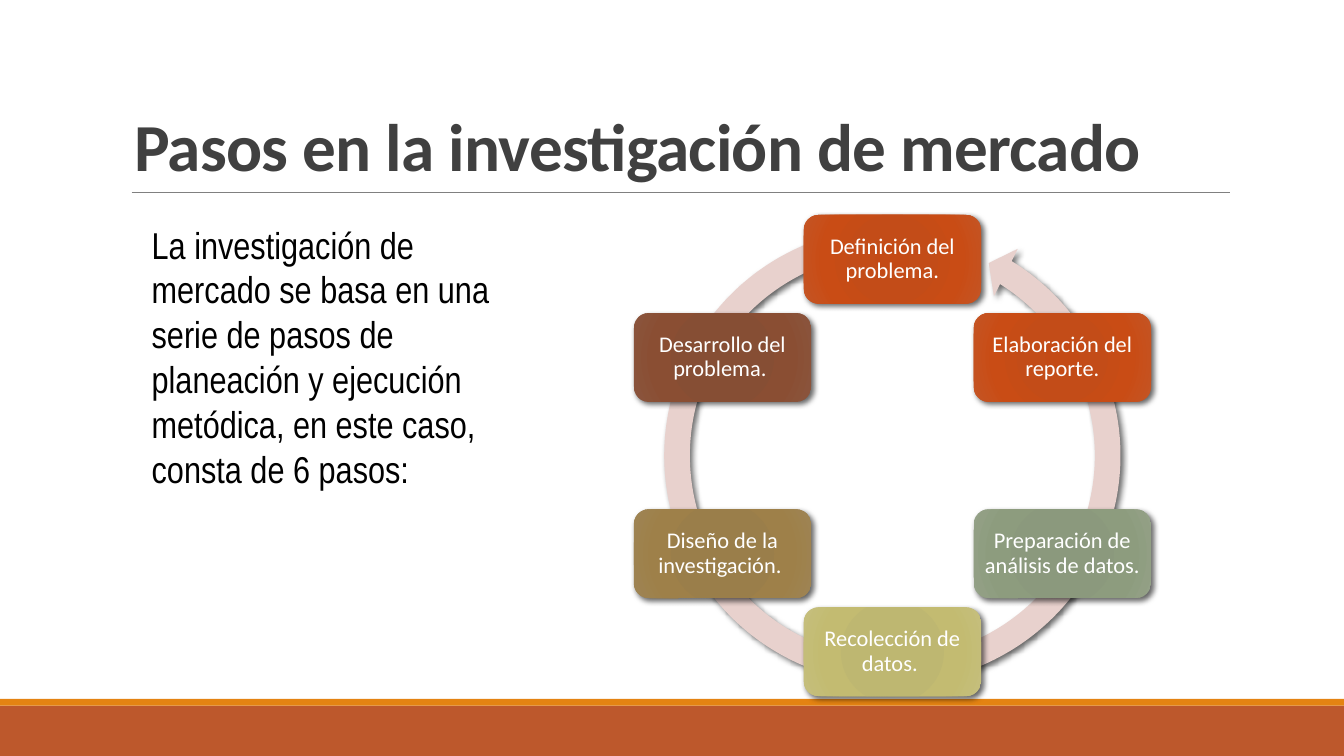
import math
from typing import NamedTuple

import pptx
import pptx.dml.color
import pptx.enum.shapes
import pptx.enum.text
import pptx.oxml
import pptx.oxml.ns
import pptx.util

WIDTH = 10
HEIGHT = WIDTH * 9 / 16
COLORS = {
    "band": "BD582C",
    "stripe": "E48312",
    "rule": "808080",
    "title": "404040",
    "body": "000000",
    "ring": "E8D1CD",
    "step_text": "FFFFFF",
    "shadow": "000000",
}
ORANGE = ("C44A15", "C34C18", "C94C15", "C45525")
BROWN = ("874C32", "864E34", "8A4E33", "8A553D")
OCHRE = ("9A7D48", "9A7E4A", "9E8049", "9E8454")
LIME = ("BEB76E", "BEB771", "C3BB71", "C5BF7D")
SAGE = ("8A987B", "8B997D", "8D9C7E", "94A187")
GRADIENT_POSITIONS = (0, 34, 70, 100)

CENTER_X, CENTER_Y, RADIUS = 6.64, 3.39, 1.46
STEP_WIDTH, STEP_HEIGHT = 1.32, 0.66
RING_SIZE = 3.6

SHAPES = pptx.enum.shapes.MSO_SHAPE
ANCHORS = pptx.enum.text.MSO_ANCHOR
Inches = pptx.util.Inches


class Box(NamedTuple):
    left: float
    top: float
    width: float
    height: float


class Step(NamedTuple):
    text: str
    gradient: tuple[str, ...]


class TextStyle(NamedTuple):
    font: str
    size: int
    color: str
    bold: bool = False


# Counter-clockwise from the top of the ring
STEPS = (
    Step("Definición del problema.", ORANGE),
    Step("Desarrollo del problema. ", BROWN),
    Step("Diseño de la investigación. ", OCHRE),
    Step("Recolección de datos. ", LIME),
    Step("Preparación de análisis de datos. ", SAGE),
    Step("Elaboración del reporte.", ORANGE),
)


def rgb(name: str) -> pptx.dml.color.RGBColor:
    return pptx.dml.color.RGBColor.from_string(COLORS[name])


def parse_drawing(xml: str):
    """Parse an element whose first tag is in the drawing namespace."""
    tag_end = xml.index(">")
    return pptx.oxml.parse_xml(
        f"{xml[:tag_end]} {pptx.oxml.ns.nsdecls('a')}{xml[tag_end:]}"
    )


def add_plain_shape(slide, kind, box: Box, color: str | None = None):
    shape = slide.shapes.add_shape(kind, *map(Inches, box))
    if color:
        shape.fill.solid()
        shape.fill.fore_color.rgb = rgb(color)
    shape.line.fill.background()
    shape.shadow.inherit = False
    return shape


def add_shadow(shape) -> None:
    effects = shape._element.spPr.find(pptx.oxml.ns.qn("a:effectLst"))
    effects.append(parse_drawing(
        '<a:outerShdw blurRad="38100" dist="25400" dir="2700000" rotWithShape="0">'
        f'<a:srgbClr val="{COLORS["shadow"]}"><a:alpha val="60000"/></a:srgbClr>'
        "</a:outerShdw>"
    ))


def fill_radial(shape, gradient: tuple[str, ...]) -> None:
    stops = "".join(
        f'<a:gs pos="{position * 1000}"><a:srgbClr val="{color}"/></a:gs>'
        for position, color in zip(GRADIENT_POSITIONS, gradient)
    )
    shape.fill.background()
    properties = shape._element.spPr
    properties.replace(
        properties.find(pptx.oxml.ns.qn("a:noFill")),
        parse_drawing(
            f'<a:gradFill rotWithShape="1"><a:gsLst>{stops}</a:gsLst><a:path path="circle">'
            '<a:fillToRect l="100000" t="100000" r="100000" b="100000"/>'
            "</a:path></a:gradFill>"
        ),
    )


def write_text(shape, text: str, style: TextStyle):
    frame = shape.text_frame
    frame.word_wrap = True
    frame.text = text
    paragraph = frame.paragraphs[0]
    font = paragraph.runs[0].font
    font.name, font.size, font.bold = style.font, pptx.util.Pt(style.size), style.bold
    font.color.rgb = rgb(style.color)
    return paragraph


def add_background(slide) -> None:
    add_plain_shape(slide, SHAPES.RECTANGLE, Box(0, 5.25, WIDTH, HEIGHT - 5.25), "band")
    add_plain_shape(slide, SHAPES.RECTANGLE, Box(0, 5.2, WIDTH, 0.05), "stripe")
    rule = slide.shapes.add_connector(
        pptx.enum.shapes.MSO_CONNECTOR.STRAIGHT,
        Inches(0.98), Inches(1.43), Inches(9.15), Inches(1.43),
    )
    rule.line.color.rgb = rgb("rule")
    rule.line.width = pptx.util.Pt(0.5)
    rule._element.spPr.append(parse_drawing("<a:effectLst></a:effectLst>"))


def add_texts(slide) -> None:
    title = slide.shapes.add_textbox(*map(Inches, Box(0.9, 0.24, 8.25, 1.19)))
    paragraph = write_text(
        title, "Pasos en la investigación de mercado", TextStyle("Calibri", 36, "title", True)
    )
    title.text_frame.vertical_anchor = ANCHORS.BOTTOM
    paragraph.line_spacing = 0.85
    paragraph.runs[0].font._element.set("spc", "-38")

    body = slide.shapes.add_textbox(*map(Inches, Box(1.03, 1.6, 3.02, 2.12)))
    write_text(
        body,
        "La investigación de mercado se basa en una serie de pasos de planeación "
        "y ejecución metódica, en este caso, consta de 6 pasos:",
        TextStyle("Arial Narrow", 20, "body"),
    )


def add_ring(slide) -> None:
    half = RING_SIZE / 2
    box = Box(CENTER_X - half, CENTER_Y - half, RING_SIZE, RING_SIZE)
    ring = add_plain_shape(slide, SHAPES.LEFT_CIRCULAR_ARROW, box, "ring")
    for index, value in enumerate((0.053, 3.126, 181.084, 153.1, 0.055)):
        ring.adjustments[index] = value
    add_shadow(ring)


def add_step(slide, step: Step, angle: float) -> None:
    box = Box(
        CENTER_X - RADIUS * math.sin(angle) - STEP_WIDTH / 2,
        CENTER_Y - RADIUS * math.cos(angle) - STEP_HEIGHT / 2,
        STEP_WIDTH,
        STEP_HEIGHT,
    )
    shape = add_plain_shape(slide, SHAPES.ROUNDED_RECTANGLE, box)
    fill_radial(shape, step.gradient)
    add_shadow(shape)
    paragraph = write_text(shape, step.text, TextStyle("Calibri", 12, "step_text"))
    paragraph.alignment = pptx.enum.text.PP_ALIGN.CENTER
    paragraph.line_spacing = 0.9
    frame = shape.text_frame
    frame.vertical_anchor = ANCHORS.MIDDLE
    frame.margin_left = frame.margin_right = Inches(0.05)
    frame.margin_top = frame.margin_bottom = Inches(0.05)


def main() -> None:
    presentation = pptx.Presentation()
    presentation.slide_width = Inches(WIDTH)
    presentation.slide_height = Inches(HEIGHT)
    slide = presentation.slides.add_slide(presentation.slide_layouts[6])
    add_background(slide)
    add_texts(slide)
    add_ring(slide)
    for index, step in enumerate(STEPS):
        add_step(slide, step, math.tau * index / len(STEPS))
    presentation.save("out.pptx")


if __name__ == "__main__":
    main()
